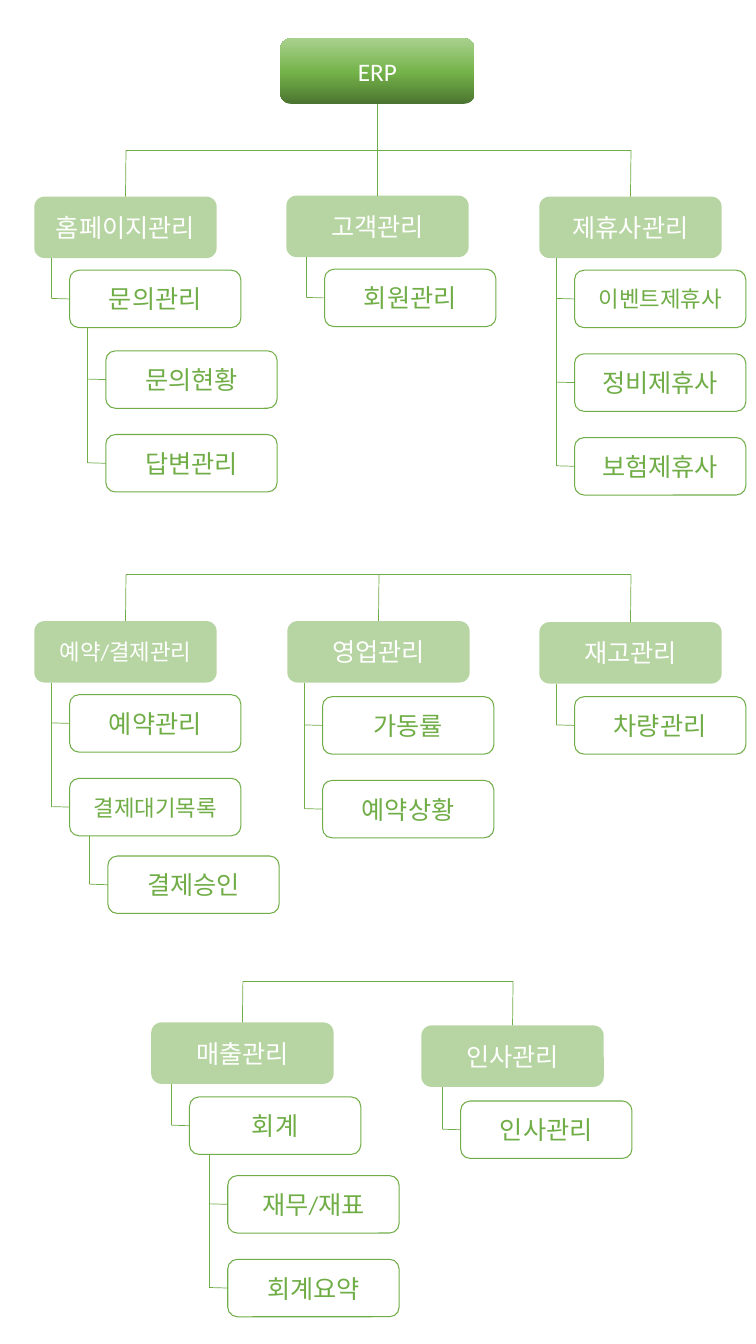
from copy import deepcopy

from lxml import etree
from pptx import Presentation
from pptx import util as u
from pptx.dml.color import RGBColor
from pptx.enum import shapes, text
from pptx.oxml.ns import qn

PX = 9144
GREEN = RGBColor(0x70, 0xAD, 0x47)
WHITE = RGBColor(0xFF, 0xFF, 0xFF)
ROOT_STOPS = [
    (0, RGBColor(0x4B, 0x74, 0x30)),
    (0.48, RGBColor(0x74, 0xB3, 0x49)),
    (1, RGBColor(0xA9, 0xD1, 0x8E)),
]
MODULE_SIZE = (181, 61)
ITEM_SIZE = (170, 57)
ITEM_PITCH = 83
RAIL_GAP = 18

# Module: (x, y, title, points, indent, drop, items)
# Item: (title, points, indent, drop, subitems)
ROWS = [
    (149, [
        (34, 195, "홈페이지관리", 18, 35, 73, [
            ("문의관리", 18, 36, 80, [("문의현황", 18), ("답변관리", 18)])]),
        (284, 194, "고객관리", 18, 38, 73, [("회원관리", 18)]),
        (535, 195, "제휴사관리", 18, 35, 73, [
            ("이벤트제휴사", 16), ("정비제휴사", 18), ("보험제휴사", 18)]),
    ]),
    (570, [
        (34, 616, "예약/결제관리", 16, 35, 73, [
            ("예약관리", 18),
            ("결제대기목록", 16, 38, 77, [("결제승인", 18)])]),
        (285, 616, "영업관리", 18, 35, 75, [("가동률", 18), ("예약상황", 18)]),
        (535, 617, "재고관리", 18, 35, 74, [("차량관리", 18)]),
    ]),
    (973, [
        (150, 1014, "매출관리", 18, 38, 74, [
            ("회계", 18, 38, 78, [("재무/재표", 18), ("회계요약", 18)])]),
        (418, 1017, "인사관리", 18, 39, 75, [("인사관리", 18)]),
    ]),
]


def add_box(s, box, title, points, color):
    """Add a rounded box with centred text and no fill or line."""
    sp = s.shapes.add_shape(shapes.MSO_SHAPE.ROUNDED_RECTANGLE, *(v * PX for v in box))
    sp.shadow.inherit = False
    sp.fill.background()
    sp.line.fill.background()
    tf = sp.text_frame
    tf.vertical_anchor = text.MSO_ANCHOR.MIDDLE
    p = tf.paragraphs[0]
    p.alignment = text.PP_ALIGN.CENTER
    p.font.name = "Calibri"
    p.font.size = u.Pt(points)
    p.font.color.rgb = color
    p.add_run().text = title
    return sp


def add_line(s, x1, y1, x2, y2):
    """Add a thin straight green connector."""
    line = s.shapes.add_connector(
        shapes.MSO_CONNECTOR.STRAIGHT, *(v * PX for v in (x1, y1, x2, y2)))
    line.line.color.rgb = GREEN
    line.line.width = u.Pt(0.5)
    etree.SubElement(line._element.spPr, qn("a:effectLst"))
    return line


def add_root(s, box):
    """Add the gradient box at the top of the chart."""
    sp = add_box(s, box, "ERP", 18, WHITE)
    sp.fill.gradient()
    sp.fill.gradient_angle = 90
    stops = sp._element.spPr.find(".//" + qn("a:gsLst"))
    stops.insert(1, deepcopy(stops[0]))
    for stop, (position, color) in zip(sp.fill.gradient_stops, ROOT_STOPS):
        stop.position = position
        stop.color.rgb = color
    return sp


def add_branch(s, parent, indent, drop, items):
    """Hang outlined items, and their own subitems, below a parent box."""
    x, y, _, h = parent
    left = x + indent
    rail = left - RAIL_GAP
    width, height = ITEM_SIZE
    for i, (title, points, *sub) in enumerate(items):
        top = y + drop + i * ITEM_PITCH
        middle = top + height // 2
        box = (left, top, width, height)
        sp = add_box(s, box, title, points, GREEN)
        sp.line.color.rgb = GREEN
        sp.line.width = u.Pt(0.75)
        add_line(s, left, middle, rail, middle).begin_connect(sp, 1)
        if sub:
            add_branch(s, box, *sub)
    add_line(s, rail, y + h, rail, middle)


def add_module(s, x, y, title, points, indent, drop, items):
    """Add a translucent module box with its branch of items."""
    box = (x, y, *MODULE_SIZE)
    sp = add_box(s, box, title, points, WHITE)
    sp.fill.solid()
    sp.fill.fore_color.rgb = GREEN
    color = sp._element.spPr.find(qn("a:solidFill"))[0]
    etree.SubElement(color, qn("a:alpha"), val="50000")
    add_branch(s, box, indent, drop, items)
    return sp


def add_row(s, bar_y, modules, root=None):
    """Add a row of modules under one bar, the middle one joined to any root."""
    centres = [module[0] + MODULE_SIZE[0] // 2 + 1 for module in modules]
    add_line(s, centres[0], bar_y, centres[-1], bar_y)
    for i, (centre, module) in enumerate(zip(centres, modules)):
        sp = add_module(s, *module)
        line = add_line(s, centre, bar_y, centre, module[1])
        line.end_connect(sp, 0)
        if root is not None and i == len(modules) // 2:
            line.begin_connect(root, 2)


def main():
    """Build the ERP menu chart."""
    prs = Presentation()
    prs.slide_width, prs.slide_height = 750 * PX, 1333 * PX
    s = prs.slides.add_slide(prs.slide_layouts[6])
    root = add_root(s, (278, 38, 193, 65))
    for i, (bar_y, modules) in enumerate(ROWS):
        add_row(s, bar_y, modules, root if i == 0 else None)
    prs.save("out.pptx")


if __name__ == "__main__":
    main()
